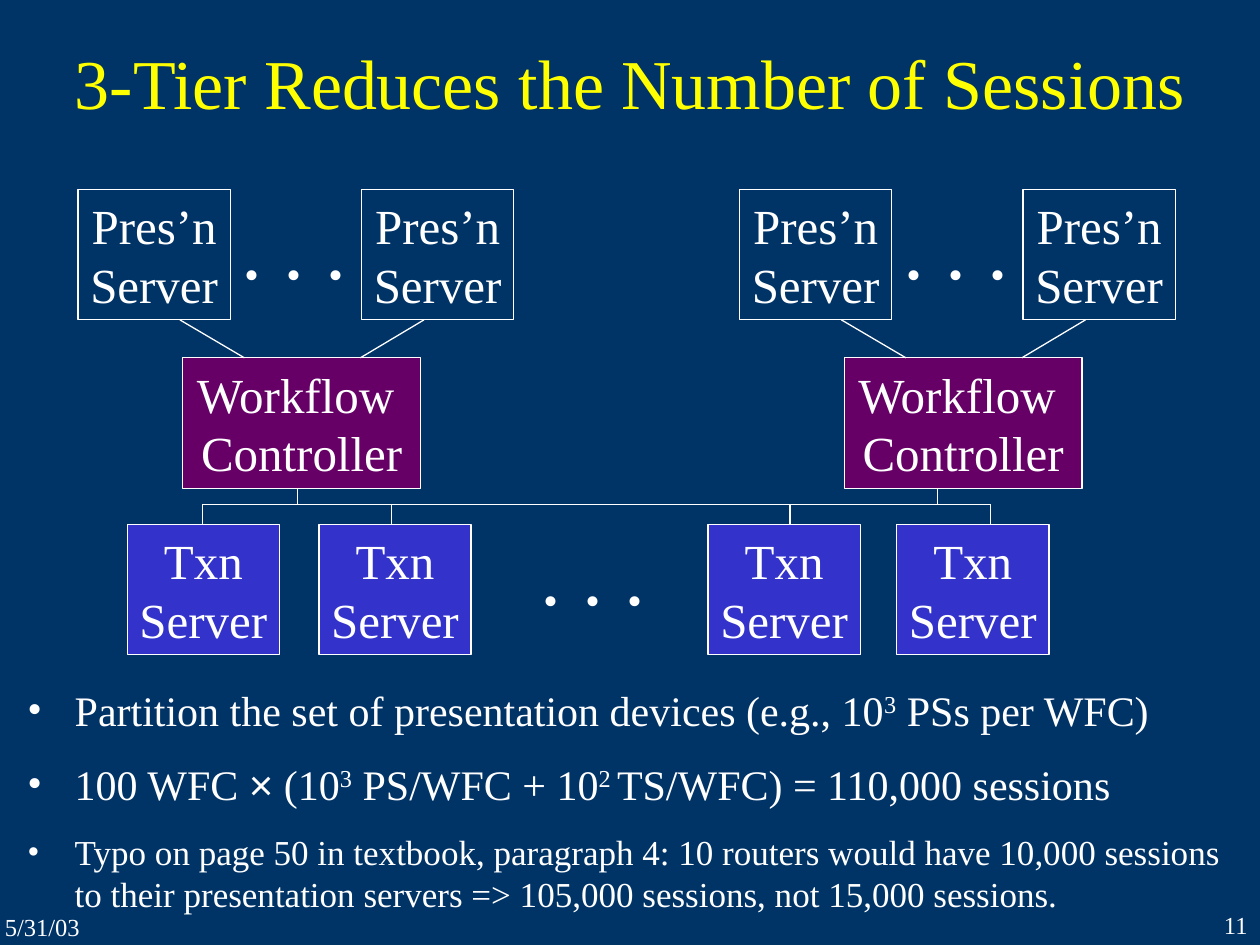
"""Builds a slide on how a three-tier layout reduces the number of sessions."""
from lxml import etree
from pptx import Presentation
from pptx.dml.color import RGBColor
from pptx.enum.shapes import MSO_CONNECTOR, MSO_SHAPE
from pptx.enum.text import MSO_ANCHOR, PP_ALIGN
from pptx.oxml.ns import qn
from pptx.util import Pt

LEFT, CENTER, RIGHT = PP_ALIGN.LEFT, PP_ALIGN.CENTER, PP_ALIGN.RIGHT
TOP, MIDDLE = MSO_ANCHOR.TOP, MSO_ANCHOR.MIDDLE
RECT, STRAIGHT = MSO_SHAPE.RECTANGLE, MSO_CONNECTOR.STRAIGHT
FONT = "Times New Roman"
COLORS = {"navy": "003366", "purple": "660066", "blue": "3333CC",
          "white": "FFFFFF", "yellow": "FFFF00"}
LINE_WIDTH = 0.74
BOX_W, BOX_H, CONTROLLER_W = 87, 74.6, 136
PRES_Y, CONTROLLER_Y, BUS_Y, TXN_Y = 108.2, 204.5, 288.2, 299.6
GROUP_STEP = 378


def rgb(name):
    return RGBColor.from_string(COLORS[name])


def write(tf, text, size=28, color="white", font=FONT, align=LEFT,
          base=0, new=True):
    p = tf.paragraphs[-1]
    if new and p.runs:
        p = tf.add_paragraph()
    p.alignment = align
    r = p.add_run()
    r.text = text
    r.font.size = Pt(size)
    r.font.name = font
    r.font.color.rgb = rgb(color)
    if base:
        r.font._element.set("baseline", str(base * 1000))
    return p


def add_label(s, text, x, y, w, h, anchor=TOP, **fmt):
    tf = s.shapes.add_textbox(Pt(x), Pt(y), Pt(w), Pt(h)).text_frame
    tf.word_wrap = True
    tf.vertical_anchor = anchor
    write(tf, text, **fmt)


def add_box(s, lines, x, y, w, fill):
    sp = s.shapes.add_shape(RECT, Pt(x), Pt(y), Pt(w), Pt(BOX_H))
    sp.shadow.inherit = False
    sp.fill.solid()
    sp.fill.fore_color.rgb = rgb(fill)
    sp.line.color.rgb = rgb("white")
    sp.line.width = Pt(LINE_WIDTH)
    tf = sp.text_frame
    tf.word_wrap = False
    tf.vertical_anchor = TOP
    for line in lines:
        write(tf, line, align=CENTER)


def add_line(s, x1, y1, x2, y2):
    c = s.shapes.add_connector(STRAIGHT, Pt(x1), Pt(y1), Pt(x2), Pt(y2))
    c.line.color.rgb = rgb("white")
    c.line.width = Pt(LINE_WIDTH)
    etree.SubElement(c._element.spPr, qn("a:effectLst"))


def add_dots(s, x, y):
    add_label(s, ". . .", x, y, 77, 65, size=48)


def add_bullets(s, items):
    tf = s.shapes.add_textbox(Pt(8.6), Pt(387.4), Pt(711.4), Pt(152.6)).text_frame
    tf.word_wrap = True
    for size, runs in items:
        for i, (text, fmt) in enumerate(runs):
            p = write(tf, text, size=size, new=i == 0, **fmt)
        p.space_before, p.space_after = Pt(size / 4), Pt(size * 0.31)
        pPr = p._p.get_or_add_pPr()
        pPr.set("marL", str(Pt(27)))
        pPr.set("indent", str(Pt(-27)))
        color = etree.SubElement(pPr, qn("a:buClr"))
        etree.SubElement(color, qn("a:srgbClr"), val=COLORS["white"])
        etree.SubElement(pPr, qn("a:buFont"), typeface=FONT)
        etree.SubElement(pPr, qn("a:buChar"), char="•")


def add_group(s, dx):
    for x in (44.6, 206.6):
        add_box(s, ("Pres’n", "Server"), x + dx, PRES_Y, BOX_W, "navy")
    add_dots(s, 131 + dx, PRES_Y)
    add_box(s, ("Workflow ", "Controller"), 104.4 + dx, CONTROLLER_Y,
            CONTROLLER_W, "purple")
    for x_pres, x_controller in ((102.8, 139.7), (242.3, 205.9)):
        add_line(s, x_pres + dx, PRES_Y + BOX_H, x_controller + dx, CONTROLLER_Y)


def add_txn_tier(s):
    for x in (72.7, 182.2, 404.6, 512.4):
        add_box(s, ("Txn", "Server"), x, TXN_Y, BOX_W, "blue")
    add_dots(s, 301.7, 294.5)
    drops = (115.9, 223.9, 451.4, 565.9)
    add_line(s, drops[0], BUS_Y, drops[-1], BUS_Y)
    for x in drops:
        add_line(s, x, BUS_Y, x, TXN_Y)
    for x in (169.9, 535.7):
        add_line(s, x, CONTROLLER_Y + BOX_H, x, BUS_Y)


def main():
    prs = Presentation()
    prs.slide_width, prs.slide_height = Pt(720), Pt(540)
    s = prs.slides.add_slide(prs.slide_layouts[6])
    s.background.fill.solid()
    s.background.fill.fore_color.rgb = rgb("navy")
    add_label(s, "5/31/03", -4.3, 517.7, 66, 24, size=14)
    add_label(s, "11", 642.2, 516.2, 77.8, 24, size=14, align=RIGHT)
    add_label(s, "3-Tier Reduces the Number of Sessions", 0, 11.5, 720, 70.6,
              anchor=MIDDLE, size=40, color="yellow", align=CENTER)
    for i in range(2):
        add_group(s, i * GROUP_STEP)
    add_txn_tier(s)
    sup = {"base": 30}
    add_bullets(s, [
        (24, [("Partition the set of presentation devices (e.g., 10", {}),
              ("3", sup), (" PSs per WFC)", {})]),
        (24, [("100 WFC ", {}), ("×", {"font": "Arial"}), (" (10", {}),
              ("3", sup), (" PS/WFC + 10", {}), ("2 ", sup),
              ("TS/WFC) = 110,000 sessions", {})]),
        (20, [("Typo on page 50 in textbook, paragraph 4: 10 routers would "
               "have 10,000 sessions to their presentation servers => "
               "105,000 sessions, not 15,000 sessions.", {})]),
    ])
    prs.save("out.pptx")


main()
